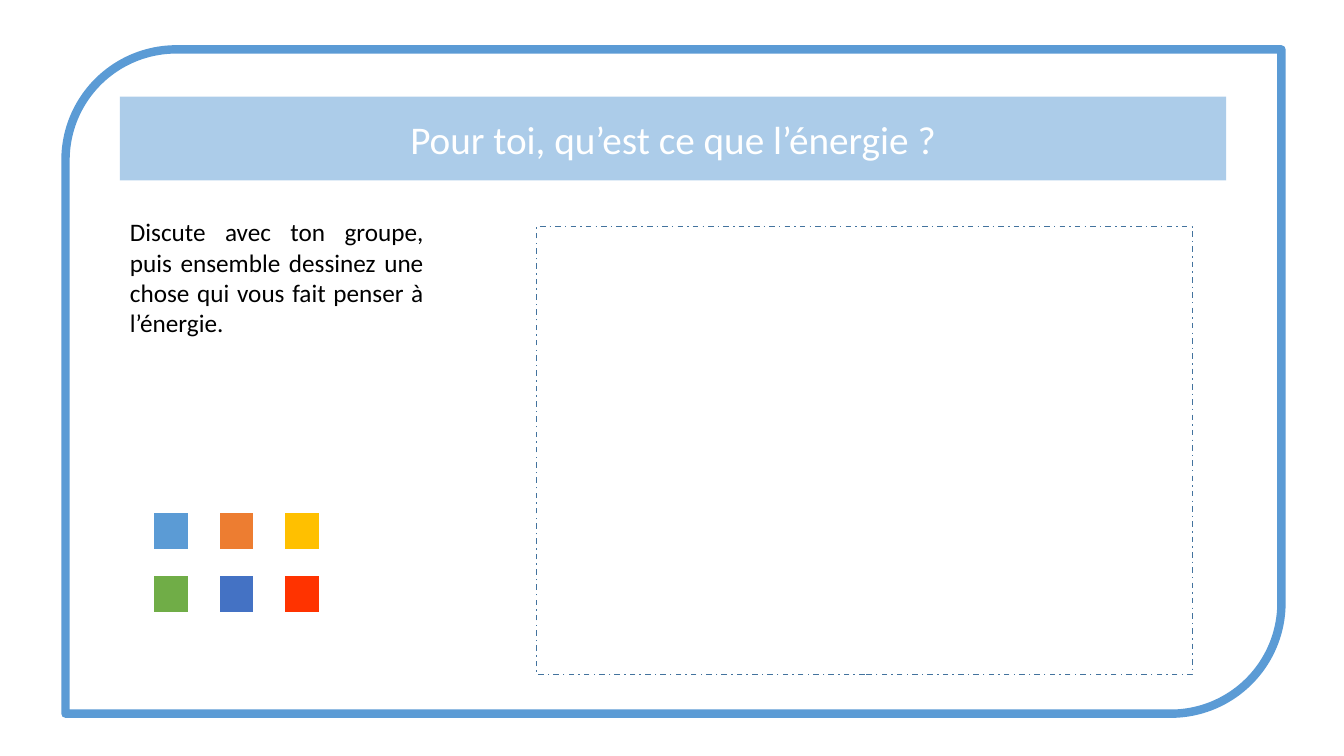
"""Build a classroom slide asking pupils to draw what energy means to them."""
from dataclasses import dataclass
from typing import Optional

from lxml import etree
from pptx import Presentation
from pptx import util as u
from pptx.dml.color import RGBColor
from pptx.enum import dml, shapes, text
from pptx.oxml import ns

BLUE = RGBColor(0x5B, 0x9B, 0xD5)
ORANGE = RGBColor(0xED, 0x7D, 0x31)
YELLOW = RGBColor(0xFF, 0xC0, 0x00)
GREEN = RGBColor(0x70, 0xAD, 0x47)
INDIGO = RGBColor(0x44, 0x72, 0xC4)
RED = RGBColor(0xFF, 0x33, 0x00)
STEEL = RGBColor(0x43, 0x73, 0x9E)
WHITE = RGBColor(0xFF, 0xFF, 0xFF)
BLACK = RGBColor(0x00, 0x00, 0x00)

SWATCH_ROWS = ((BLUE, ORANGE, YELLOW), (GREEN, INDIGO, RED))
SWATCH_LEFT, SWATCH_TOP = 1.52, 5.08
SWATCH_STEP_X, SWATCH_STEP_Y = 0.65, 0.62


@dataclass(frozen=True)
class Panel:
    """A preset shape with its place in inches and its colours."""

    kind: shapes.MSO_SHAPE
    left: float
    top: float
    width: float
    height: float
    fill: Optional[RGBColor] = None
    line: Optional[RGBColor] = None
    line_width: float = 1
    dash: Optional[dml.MSO_LINE] = None


def draw_panel(slide, panel: Panel):
    """Draw a panel and return its shape."""
    box = (panel.left, panel.top, panel.width, panel.height)
    drawn = slide.shapes.add_shape(panel.kind, *map(u.Inches, box))
    drawn.shadow.inherit = False
    if panel.fill is None:
        drawn.fill.background()
    else:
        drawn.fill.solid()
        drawn.fill.fore_color.rgb = panel.fill
    if panel.line is None:
        drawn.line.fill.background()
    else:
        drawn.line.color.rgb = panel.line
        drawn.line.width = u.Pt(panel.line_width)
        if panel.dash is not None:
            drawn.line.dash_style = panel.dash
    return drawn


def set_opacity(drawn, percent: int) -> None:
    """Make the solid fill of a shape partly transparent."""
    colour = drawn.fill._xPr.find(ns.qn("a:solidFill"))[0]
    etree.SubElement(colour, ns.qn("a:alpha"), val=str(percent * 1000))


def write(frame, wording: str, size: int, colour: RGBColor, align: text.PP_ALIGN) -> None:
    """Fill a text frame with one paragraph."""
    frame.word_wrap = True
    paragraph = frame.paragraphs[0]
    paragraph.text = wording
    paragraph.alignment = align
    paragraph.font.name = "Calibri"
    paragraph.font.size = u.Pt(size)
    paragraph.font.color.rgb = colour


def main() -> None:
    """Assemble the slide and save it."""
    deck = Presentation()
    deck.slide_width, deck.slide_height = u.Inches(13.33), u.Inches(7.5)
    slide = deck.slides.add_slide(deck.slide_layouts[6])
    preset = shapes.MSO_SHAPE

    draw_panel(slide, Panel(preset.ROUND_2_DIAG_RECTANGLE, 0.65, 0.49, 12.06, 6.59,
                            WHITE, BLUE, 6))

    title = draw_panel(slide, Panel(preset.FLOWCHART_PROCESS, 1.19, 0.96, 10.97, 0.83, BLUE))
    set_opacity(title, 50)
    title.text_frame.vertical_anchor = text.MSO_ANCHOR.MIDDLE
    write(title.text_frame, "Pour toi, qu’est ce que l’énergie ?", 28, WHITE,
          text.PP_ALIGN.CENTER)

    instruction = slide.shapes.add_textbox(*map(u.Inches, (1.19, 2.1, 3.11, 1.31)))
    instruction.text_frame.auto_size = text.MSO_AUTO_SIZE.SHAPE_TO_FIT_TEXT
    write(instruction.text_frame,
          "Discute avec ton groupe, puis ensemble dessinez une chose "
          "qui vous fait penser à l’énergie.",
          18, BLACK, text.PP_ALIGN.JUSTIFY)

    for row, colours in enumerate(SWATCH_ROWS):
        for column, colour in enumerate(colours):
            draw_panel(slide, Panel(preset.FLOWCHART_PROCESS,
                                    SWATCH_LEFT + column * SWATCH_STEP_X,
                                    SWATCH_TOP + row * SWATCH_STEP_Y,
                                    0.35, 0.38, colour, WHITE, 1.5))

    draw_panel(slide, Panel(preset.RECTANGLE, 5.32, 2.25, 6.51, 4.44,
                            line=STEEL, dash=dml.MSO_LINE.DASH_DOT))
    deck.save("out.pptx")


if __name__ == "__main__":
    main()
